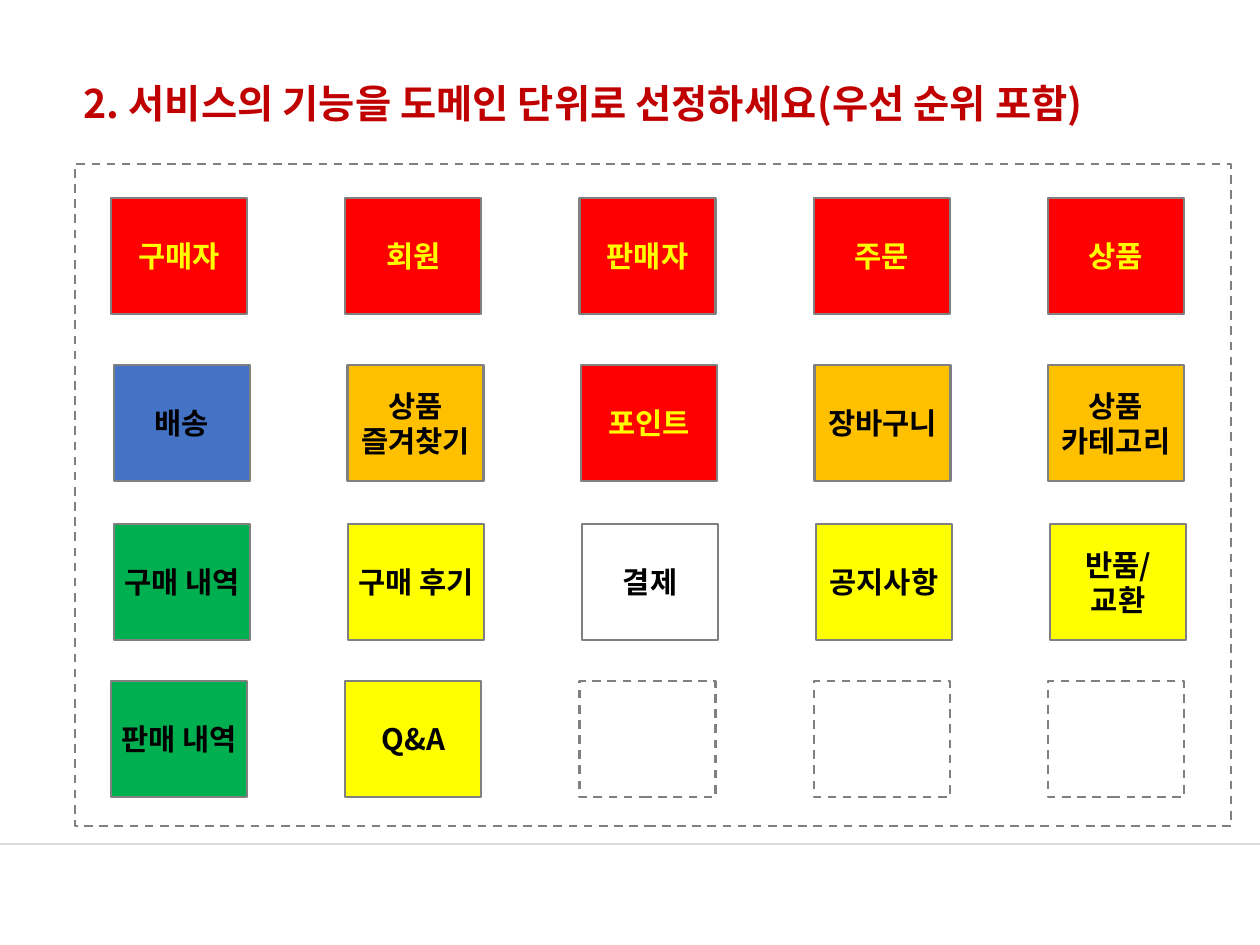
from pptx import Presentation
from pptx import util as u
from pptx.dml.color import RGBColor
from pptx.enum import dml, shapes, text
from pptx.oxml.ns import qn
from lxml import etree

# Content
FONT = "Noto Sans CJK KR"
RED = RGBColor(0xFF, 0x00, 0x00)
ORANGE = RGBColor(0xFF, 0xC0, 0x00)
YELLOW = RGBColor(0xFF, 0xFF, 0x00)
GREEN = RGBColor(0x00, 0xB0, 0x50)
BLUE = RGBColor(0x44, 0x72, 0xC4)
WHITE = RGBColor(0xFF, 0xFF, 0xFF)
BLACK = RGBColor(0x00, 0x00, 0x00)
DARK_RED = RGBColor(0xC0, 0x00, 0x00)
GRAY = RGBColor(0x80, 0x80, 0x80)
LIGHT_GRAY = RGBColor(0xDB, 0xDB, 0xDB)

TITLE = "2. 서비스의 기능을 도메인 단위로 선정하세요(우선 순위 포함)"
EMPTY = ("", None)

# Each row: left of first card, top, column step, cards (label, fill)
ROWS = [
    (111, 198, 234.25, [("구매자", RED), ("회원", RED), ("판매자", RED),
                        ("주문", RED), ("상품", RED)]),
    (114, 365, 233.5, [("배송", BLUE), ("상품 즐겨찾기", ORANGE), ("포인트", RED),
                       ("장바구니", ORANGE), ("상품\n카테고리", ORANGE)]),
    (114, 524, 234, [("구매 내역", GREEN), ("구매 후기", YELLOW), ("결제", WHITE),
                     ("공지사항", YELLOW), ("반품/\n교환", YELLOW)]),
    (111, 681, 234.25, [("판매 내역", GREEN), ("Q&A", YELLOW),
                        EMPTY, EMPTY, EMPTY]),
]

# Lengths in px
PX = u.Inches(1) / 88.6
PAGE_WIDTH, PAGE_HEIGHT = 1260, 945
CARD_WIDTH, CARD_HEIGHT = 136, 116
FRAME = (75, 164, 1156, 662)
TITLE_AREA = (75, 81, 1110, 50)
FOOTER_LINE_Y = 844


def px(*lengths):
    return [round(length * PX) for length in lengths]


def write(box, content, *, size, color, align, spacing=None):
    frame = box.text_frame
    frame.word_wrap = True
    frame.vertical_anchor = text.MSO_ANCHOR.MIDDLE
    frame.text = content
    for para in frame.paragraphs:
        para.alignment = align
        para.line_spacing = spacing
        for span in para.runs:
            span.font.name = FONT
            span.font.size = u.Pt(size)
            span.font.bold = True
            span.font.color.rgb = color
            east_asian = etree.SubElement(span.font._element, qn("a:ea"))
            east_asian.set("typeface", FONT)


def add_box(page, area, fill=None):
    box = page.shapes.add_shape(shapes.MSO_SHAPE.RECTANGLE, *px(*area))
    box.shadow.inherit = False
    box.line.color.rgb = GRAY
    box.line.width = u.Pt(1.75)
    if fill is None:
        box.fill.background()
        box.line.dash_style = dml.MSO_LINE.DASH
    else:
        box.fill.solid()
        box.fill.fore_color.rgb = fill
    return box


def main():
    deck = Presentation()
    deck.slide_width, deck.slide_height = px(PAGE_WIDTH, PAGE_HEIGHT)
    page = deck.slides.add_slide(deck.slide_layouts[6])

    # Footer line
    footer = page.shapes.add_connector(
        shapes.MSO_CONNECTOR.STRAIGHT,
        *px(0, FOOTER_LINE_Y, PAGE_WIDTH, FOOTER_LINE_Y))
    footer.line.color.rgb = LIGHT_GRAY
    footer.line.width = u.Pt(1)
    etree.SubElement(footer._element.spPr, qn("a:effectLst"))

    # Title
    title = page.shapes.add_textbox(*px(*TITLE_AREA))
    write(title, TITLE, size=32, color=DARK_RED,
          align=text.PP_ALIGN.LEFT, spacing=0.9)

    # Dashed frame and domain cards
    add_box(page, FRAME)
    for left, top, step, cards in ROWS:
        for column, (label, fill) in enumerate(cards):
            area = (left + column * step, top, CARD_WIDTH, CARD_HEIGHT)
            card = add_box(page, area, fill)
            if label:
                write(card, label, size=24, align=text.PP_ALIGN.CENTER,
                      color=YELLOW if fill == RED else BLACK)

    deck.save("out.pptx")


if __name__ == "__main__":
    main()
